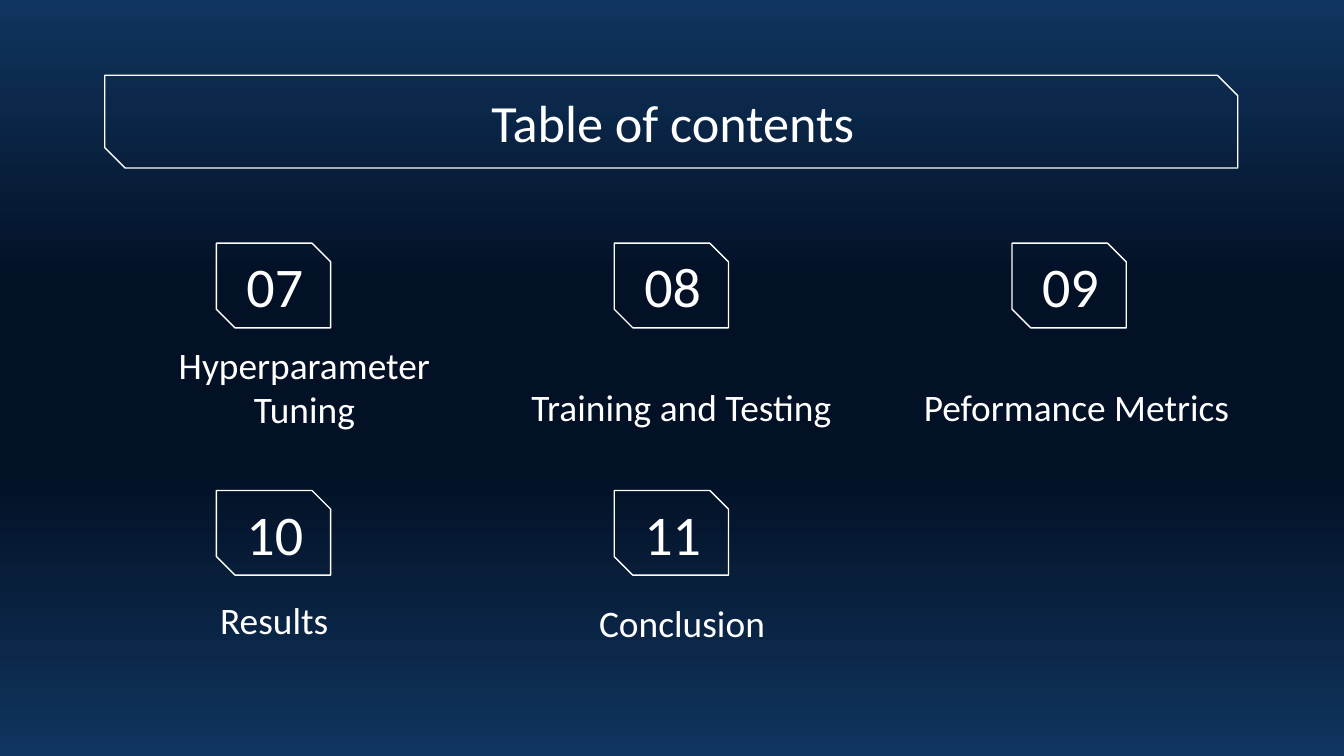
from copy import deepcopy

from pptx import Presentation
from pptx.dml.color import RGBColor
from pptx.enum.shapes import MSO_SHAPE as Shape
from pptx.enum.text import MSO_ANCHOR as Anchor, PP_ALIGN as Align
from pptx.oxml.ns import qn
from pptx.util import Inches, Pt

WHITE, NAVY, NIGHT = "FFFFFF", "10355F", "031126"
STOPS = [(0, NAVY), (0.37, NIGHT), (0.63, NIGHT), (1, NAVY)]

LEFT, TOP = 1.61, 1.81
STEP_X, STEP_Y = 2.96, 1.84
COLS = 3

# Number, label, and the label's box; \v is a line break
ITEMS = [
    ("07", "Hyperparameter\vTuning", (0.82, 2.73, 2.89, 0.58)),
    ("08", "Training and Testing", (3.71, 2.71, 2.72, 0.58)),
    ("09", "Peformance Metrics", (6.75, 2.71, 2.52, 0.58)),
    ("10", "Results", (1.04, 4.3, 2, 0.58)),
    ("11", "Conclusion", (3.63, 4.32, 2.89, 0.58)),
]


def color(code):
    return RGBColor.from_string(code)


def paint_back(slide):
    fill = slide.background.fill
    fill.gradient()
    fill.gradient_angle = 90
    stops = slide.element.find(".//" + qn("a:gsLst"))
    for stop in list(stops):
        stops.append(deepcopy(stop))
    for stop, (pos, code) in zip(fill.gradient_stops, STOPS):
        stop.position = pos
        stop.color.rgb = color(code)


def add_frame(slide, box):
    """Draw an outline with two opposite corners cut off."""
    frame = slide.shapes.add_shape(Shape.SNIP_2_DIAG_RECTANGLE, *map(Inches, box))
    frame.adjustments[0] = 0
    frame.adjustments[1] = 0.22
    frame.shadow.inherit = False
    frame.fill.background()
    frame.line.color.rgb = color(WHITE)
    frame.line.width = Pt(0.75)


def add_text(slide, box, text, size, anchor=Anchor.MIDDLE):
    frame = slide.shapes.add_textbox(*map(Inches, box)).text_frame
    frame.word_wrap = True
    frame.vertical_anchor = anchor
    frame.margin_left = frame.margin_right = Inches(0.1)
    frame.margin_top = frame.margin_bottom = Inches(0.1)
    frame.text = text
    para = frame.paragraphs[0]
    para.alignment = Align.CENTER
    for run in para.runs:
        run.font.name = "Calibri"
        run.font.size = Pt(size)
        run.font.color.rgb = color(WHITE)


def add_title(slide, box, text):
    left, top, width, height = box
    add_frame(slide, box)
    add_text(slide, (left + 0.01, top + 0.03, width, height - 0.06), text, 28)


def add_item(slide, left, top, number, label, box):
    add_frame(slide, (left, top, 0.85, 0.63))
    add_text(slide, (left - 0.06, top + 0.07, 0.99, 0.49), number, 30)
    add_text(slide, box, label, 20, Anchor.BOTTOM)


def main():
    deck = Presentation()
    deck.slide_width = Inches(10)
    deck.slide_height = deck.slide_width * 9 // 16
    slide = deck.slides.add_slide(deck.slide_layouts[6])
    paint_back(slide)
    add_title(slide, (0.78, 0.56, 8.43, 0.69), "Table of contents")
    for i, item in enumerate(ITEMS):
        row, col = divmod(i, COLS)
        add_item(slide, LEFT + col * STEP_X, TOP + row * STEP_Y, *item)
    deck.save("out.pptx")


if __name__ == "__main__":
    main()
